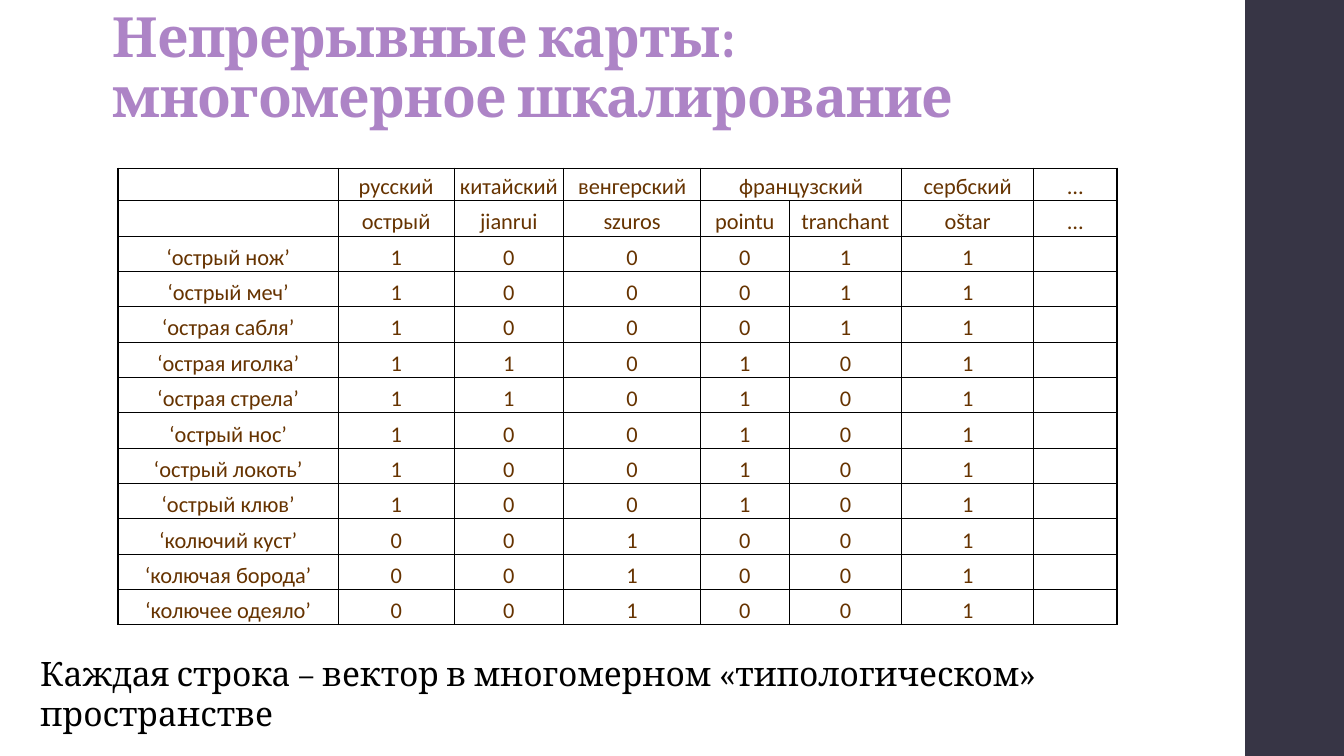
from pptx import Presentation
from pptx.dml.color import RGBColor
from pptx.enum.shapes import MSO_SHAPE
from pptx.enum.text import MSO_ANCHOR, MSO_AUTO_SIZE, PP_ALIGN
from pptx.oxml import parse_xml
from pptx.oxml.ns import nsdecls
from pptx.util import Inches, Pt

SLIDE_W, SLIDE_H = 13.33, 7.5
COLORS = {"band": "373545", "title": "AD84C6", "cell": "663300",
          "text": "000000", "border": "000000"}

COLUMN_WIDTHS = [2.19, 1.15, 1.09, 1.36, 0.88, 1.12, 1.31, 0.83]
LANGUAGES = ["", "русский", "китайский", "венгерский", "французский", "", "сербский", "…"]
WORDS = ["", "острый", "jianrui", "szuros", "pointu", "tranchant", "oštar", "…"]
# Contexts grouped by the vector they share
VECTORS = [
    ("100011", ["острый нож", "острый меч", "острая сабля"]),
    ("110101", ["острая иголка", "острая стрела"]),
    ("100101", ["острый нос", "острый локоть", "острый клюв"]),
    ("001001", ["колючий куст", "колючая борода", "колючее одеяло"]),
]


def write(frame, text, size, color, font="Cambria", bold=False, align=PP_ALIGN.LEFT,
          line_spacing=None, tracking=None):
    paragraph = frame.paragraphs[0]
    paragraph.alignment = align
    if line_spacing:
        paragraph.line_spacing = line_spacing
    for index, line in enumerate(text.split("\n")):
        if index:
            paragraph.add_line_break()
        run = paragraph.add_run()
        run.text = line
        run.font.name = font
        run.font.size = Pt(size)
        run.font.bold = bold
        run.font.color.rgb = RGBColor.from_string(COLORS[color])
        if tracking:
            run.font._element.set("spc", str(round(tracking * 100)))


def set_borders(cell, widths):
    properties = cell._tc.get_or_add_tcPr()
    for index, (side, width) in enumerate(widths.items()):
        properties.insert(index, parse_xml(
            f'<a:{side} {nsdecls("a")} w="{Pt(width)}"><a:solidFill>'
            f'<a:srgbClr val="{COLORS["border"]}"/></a:solidFill></a:{side}>'))


def add_side_band(slide, left, top, width, height):
    band = slide.shapes.add_shape(MSO_SHAPE.RECTANGLE, Inches(left), Inches(top),
                                  Inches(width), Inches(height))
    band.shadow.inherit = False
    band.fill.solid()
    band.fill.fore_color.rgb = RGBColor.from_string(COLORS["band"])
    band.line.fill.background()


def add_title(slide, left, top, width, height):
    title = slide.shapes.title
    title.left, title.top = Inches(left), Inches(top)
    title.width, title.height = Inches(width), Inches(height)
    frame = title.text_frame
    frame.word_wrap = True
    frame.auto_size = MSO_AUTO_SIZE.NONE
    frame.vertical_anchor = MSO_ANCHOR.BOTTOM
    frame.margin_left = frame.margin_right = Inches(0.1)
    frame.margin_top, frame.margin_bottom = Inches(0.03), Inches(0.05)
    write(frame, "Непрерывные карты:\nмногомерное шкалирование", 39.6, "title",
          bold=True, line_spacing=0.9, tracking=-0.5)


def add_vector_table(slide, left, top, width, height):
    rows = [LANGUAGES, WORDS]
    rows += [[f"‘{context}’", *vector, ""]
             for vector, contexts in VECTORS for context in contexts]
    last_row, last_column = len(rows) - 1, len(COLUMN_WIDTHS) - 1
    frame = slide.shapes.add_table(len(rows), len(COLUMN_WIDTHS), Inches(left),
                                   Inches(top), Inches(width), Inches(height))
    table = frame.table
    table.first_row = table.horz_banding = False
    share = width / sum(COLUMN_WIDTHS)
    for column, column_width in zip(table.columns, COLUMN_WIDTHS):
        column.width = Inches(column_width * share)

    # The first row is a little lower than the others
    first_height = 0.32
    for row in table.rows:
        row.height = Inches((height - first_height) / last_row)
    table.rows[0].height = Inches(first_height)

    for r, values in enumerate(rows):
        for c, value in enumerate(values):
            cell = table.cell(r, c)
            cell.fill.background()
            cell.vertical_anchor = MSO_ANCHOR.BOTTOM
            cell.margin_left = cell.margin_right = cell.margin_top = Inches(0.01)
            cell.margin_bottom = 0
            set_borders(cell, {"lnL": 0.5 if c else 1,
                               "lnR": 1 if c == last_column else 0.5,
                               "lnT": 0.5 if r else 1,
                               "lnB": 1 if r == last_row else 0.5})
            if value:
                write(cell.text_frame, value, 16, "cell", font="Calibri",
                      align=PP_ALIGN.CENTER)
    french = LANGUAGES.index("французский")
    table.cell(0, french).merge(table.cell(0, french + 1))


def add_conclusion(slide, left, top, width, height):
    conclusion = slide.shapes.add_textbox(Inches(left), Inches(top),
                                          Inches(width), Inches(height))
    frame = conclusion.text_frame
    frame.word_wrap = True
    frame.auto_size = MSO_AUTO_SIZE.SHAPE_TO_FIT_TEXT
    write(frame, "Каждая строка – вектор в многомерном «типологическом» пространстве",
          24, "text")


def main():
    presentation = Presentation()
    presentation.slide_width, presentation.slide_height = Inches(SLIDE_W), Inches(SLIDE_H)
    slide = presentation.slides.add_slide(presentation.slide_layouts[5])
    add_side_band(slide, 12.35, 0, SLIDE_W - 12.35, SLIDE_H)
    add_title(slide, 1.02, 0.12, 10.6, 1.21)
    add_vector_table(slide, 1.17, 1.67, 9.91, 4.53)
    add_conclusion(slide, 0.3, 6.43, 11.91, 0.5)
    presentation.save("out.pptx")


if __name__ == "__main__":
    main()
